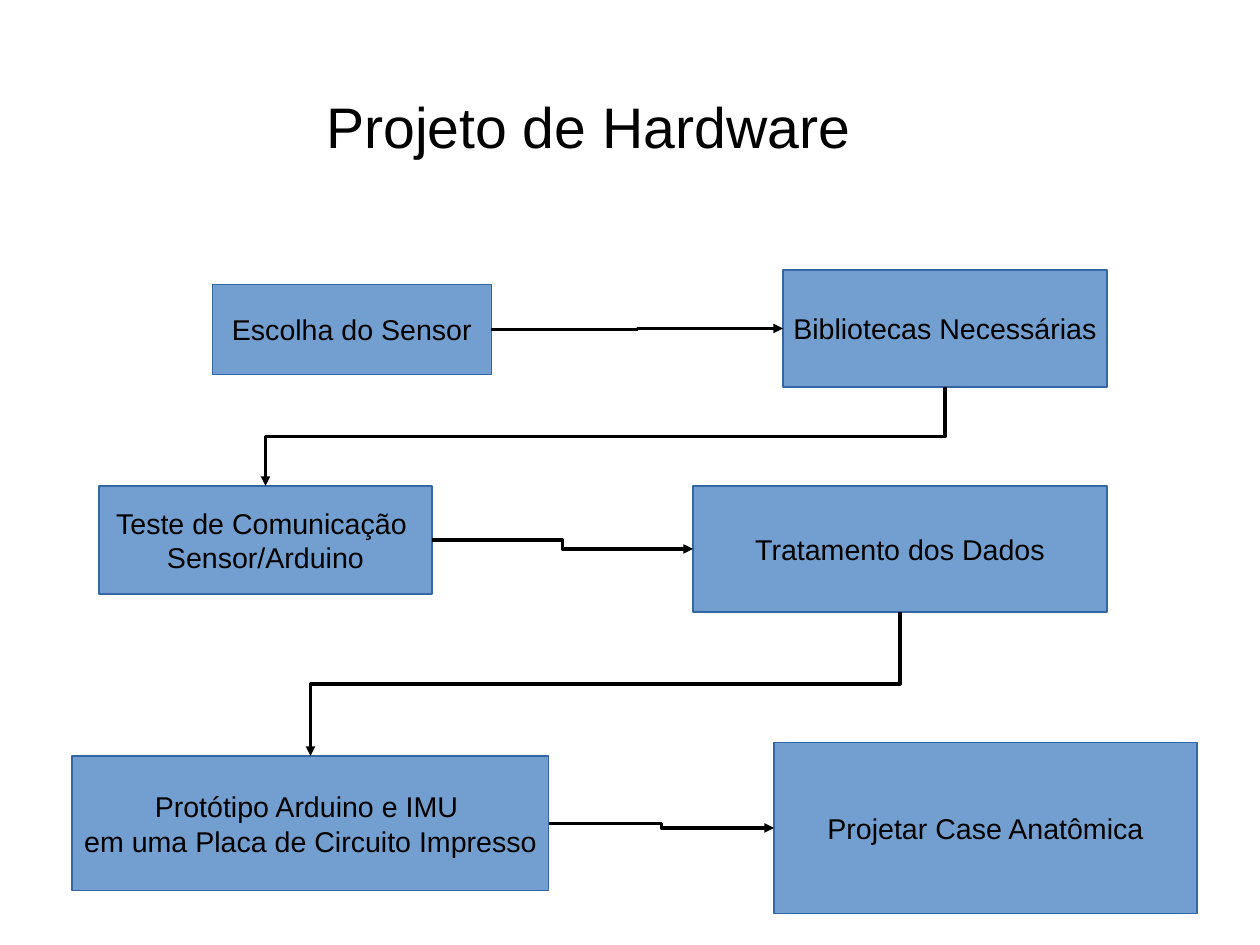
"""Build the hardware project flowchart slide."""
import pptx
import pptx.dml.color
import pptx.enum.shapes
import pptx.enum.text
import pptx.oxml
import pptx.oxml.ns
import pptx.util
from pptx.util import Cm

TOP, LEFT, BOTTOM, RIGHT = range(4)


class Flowchart:
    """Hold the slide and its style, and draw each kind of element."""

    colors = {"fill": "729FCF", "border": "3465A4", "ink": "000000"}
    font = "Arial"

    def __init__(self, slide):
        """Keep the slide to draw on."""
        self.slide = slide

    def color(self, name):
        """Return a named colour."""
        return pptx.dml.color.RGBColor.from_string(self.colors[name])

    def set_lines(self, frame, lines, size, alignment):
        """Fill a text frame with one paragraph per line."""
        for index, line in enumerate(lines):
            paragraph = frame.add_paragraph() if index else frame.paragraphs[0]
            paragraph.text = line
            paragraph.alignment = alignment
            paragraph.font.name = self.font
            paragraph.font.size = pptx.util.Pt(size)
            paragraph.font.color.rgb = self.color("ink")

    def title(self, text, left, top, width, height):
        """Add the slide title."""
        heading = self.slide.shapes.add_textbox(Cm(left), Cm(top), Cm(width), Cm(height))
        heading.text_frame.word_wrap = True
        self.set_lines(heading.text_frame, [text], 36, pptx.enum.text.PP_ALIGN.LEFT)

    def step(self, lines, left, top, width, height,
             outline=pptx.enum.shapes.MSO_SHAPE.FLOWCHART_PROCESS):
        """Add a process step and return it."""
        box = self.slide.shapes.add_shape(outline, Cm(left), Cm(top), Cm(width), Cm(height))
        box.shadow.inherit = False
        box.fill.solid()
        box.fill.fore_color.rgb = self.color("fill")
        box.line.color.rgb = self.color("border")
        box.line.width = pptx.util.Pt(0)
        box.text_frame.word_wrap = False
        box.text_frame.vertical_anchor = pptx.enum.text.MSO_ANCHOR.MIDDLE
        self.set_lines(box.text_frame, lines, 18, pptx.enum.text.PP_ALIGN.CENTER)
        return box

    def arrow(self, source, target, source_side, target_side):
        """Join two steps with a bent arrow."""
        link = self.slide.shapes.add_connector(
            pptx.enum.shapes.MSO_CONNECTOR.ELBOW, 0, 0, 0, 0)
        link.begin_connect(source, source_side)
        link.end_connect(target, target_side)
        if source_side == BOTTOM:
            self.turn_down(link)
        link.line.color.rgb = self.color("ink")
        link.line.width = pptx.util.Pt(0)
        tail = pptx.oxml.parse_xml(
            f'<a:tailEnd {pptx.oxml.ns.nsdecls("a")} type="triangle"/>')
        link.line._get_or_add_ln().append(tail)
        link._element.spPr.append(
            pptx.oxml.parse_xml(f'<a:effectLst {pptx.oxml.ns.nsdecls("a")}/>'))

    def turn_down(self, link):
        """Rotate a right-to-left link so that it leaves downwards."""
        width, height = link.width, link.height
        link.left += (width - height) // 2
        link.top += (height - width) // 2
        link.width, link.height = height, width
        transform = link._element.spPr.xfrm
        transform.flipH = False
        transform.rot = 90


def main():
    """Create and save the presentation."""
    deck = pptx.Presentation()
    deck.slide_width, deck.slide_height = Cm(28), Cm(21)
    chart = Flowchart(deck.slides.add_slide(deck.slide_layouts[6]))

    chart.title("Projeto de Hardware", 7, 1.9, 14, 3.1)
    sensor = chart.step(["Escolha do Sensor"], 4.72, 6.32, 6.2, 2)
    libraries = chart.step(["Bibliotecas Necessárias"], 17.4, 6, 7.2, 2.6)
    test = chart.step(["Teste de Comunicação ", "Sensor/Arduino"], 2.2, 10.8, 7.4, 2.4)
    data = chart.step(["Tratamento dos Dados"], 15.4, 10.8, 9.2, 2.8)
    prototype = chart.step(
        ["Protótipo Arduino e IMU ", "em uma Placa de Circuito Impresso"],
        1.6, 16.8, 10.6, 3, pptx.enum.shapes.MSO_SHAPE.RECTANGLE)
    case = chart.step(["Projetar Case Anatômica"], 17.2, 16.5, 9.4, 3.8)

    for first, second in ((sensor, libraries), (test, data), (prototype, case)):
        chart.arrow(first, second, RIGHT, LEFT)
    for upper, lower in ((libraries, test), (data, prototype)):
        chart.arrow(upper, lower, BOTTOM, TOP)

    deck.save("out.pptx")


if __name__ == "__main__":
    main()
